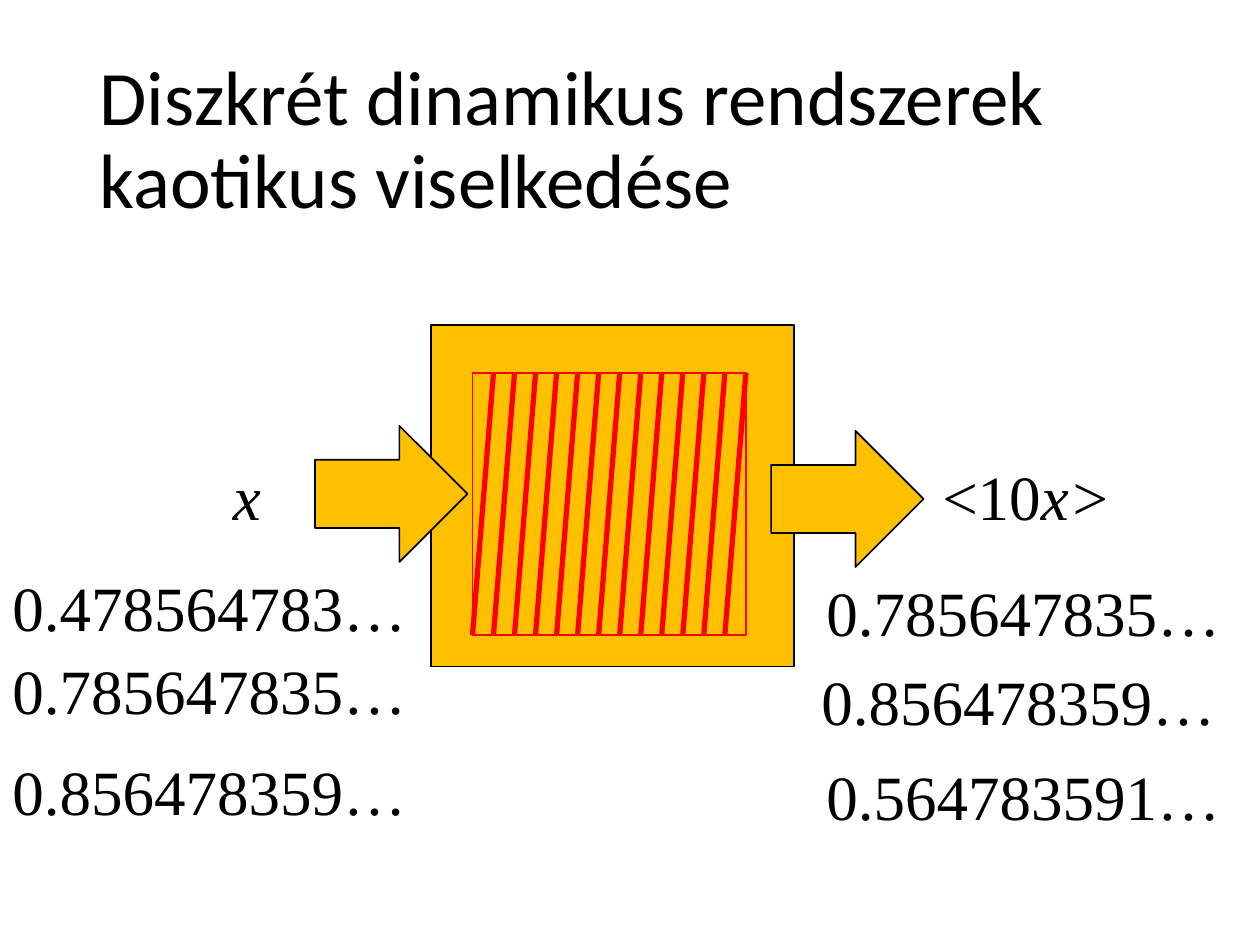
from dataclasses import dataclass

from lxml import etree
from pptx import Presentation
from pptx.dml.color import RGBColor
from pptx.enum.shapes import MSO_CONNECTOR, MSO_SHAPE
from pptx.enum.text import MSO_ANCHOR, MSO_AUTO_SIZE, PP_ALIGN
from pptx.oxml.ns import qn
from pptx.util import Inches, Pt

RECTANGLE = MSO_SHAPE.RECTANGLE
RIGHT_ARROW = MSO_SHAPE.RIGHT_ARROW
STRAIGHT = MSO_CONNECTOR.STRAIGHT
MIDDLE = MSO_ANCHOR.MIDDLE
LEFT = PP_ALIGN.LEFT
FIXED_SIZE = MSO_AUTO_SIZE.NONE
GROW_SHAPE = MSO_AUTO_SIZE.SHAPE_TO_FIT_TEXT


@dataclass(frozen=True)
class Theme:
    ink: RGBColor = RGBColor(0x00, 0x00, 0x00)
    machine: RGBColor = RGBColor(0xFF, 0xC0, 0x00)
    graph: RGBColor = RGBColor(0xFF, 0x00, 0x00)
    title_font: str = "Calibri"
    body_font: str = "Times New Roman"
    title_size: int = 44
    body_size: int = 36
    thin: float = 1
    thick: float = 3


@dataclass(frozen=True)
class Box:
    left: float
    top: float
    width: float
    height: float

    def lengths(self) -> list:
        return [Inches(value) for value in (self.left, self.top, self.width, self.height)]


@dataclass(frozen=True)
class Block:
    kind: int
    box: Box
    line: RGBColor
    fill: RGBColor | None = None


@dataclass(frozen=True)
class Label:
    left: float
    top: float
    width: float
    upright: str = ""
    italic: str = ""


THEME = Theme()
TITLE_BOX = Box(0.69, 0.4, 8.62, 1.45)
GRAPH_BOX = Box(3.75, 2.96, 2.17, 2.08)
BRANCH_COUNT = 13
LABEL_HEIGHT = 0.71
NUMBER_WIDTH = 3.42

BLOCKS = [
    Block(RECTANGLE, Box(3.42, 2.58, 2.88, 2.71), THEME.ink, THEME.machine),
    Block(RIGHT_ARROW, Box(2.5, 3.38, 1.21, 1.08), THEME.ink, THEME.machine),
    Block(RIGHT_ARROW, Box(6.12, 3.42, 1.21, 1.08), THEME.ink, THEME.machine),
    Block(RECTANGLE, GRAPH_BOX, THEME.graph),
]

LABELS = [
    Label(1.75, 3.58, 0.5, italic="x"),
    Label(7.38, 3.58, 1.58, upright="<10", italic="x>"),
    Label(0, 4.46, NUMBER_WIDTH, "0.478564783…"),
    Label(6.46, 4.5, NUMBER_WIDTH, "0.785647835…"),
    Label(0, 5.12, NUMBER_WIDTH, "0.785647835…"),
    Label(6.42, 5.21, NUMBER_WIDTH, "0.856478359…"),
    Label(0, 5.92, NUMBER_WIDTH, "0.856478359…"),
    Label(6.46, 5.96, NUMBER_WIDTH, "0.564783591…"),
]


def apply_format(target, values: dict) -> None:
    for name, value in values.items():
        setattr(target, name, value)


def format_font(font, name: str, size: int, italic: bool = False) -> None:
    apply_format(font, {"name": name, "size": Pt(size), "italic": italic})
    font.color.rgb = THEME.ink


def format_line(line, color: RGBColor, width: float) -> None:
    line.color.rgb = color
    line.width = Pt(width)


def draw_title(slide, text: str) -> None:
    title = slide.shapes.title
    apply_format(title, dict(zip(("left", "top", "width", "height"), TITLE_BOX.lengths())))
    frame = title.text_frame
    frame.text = text
    apply_format(
        frame,
        {"word_wrap": True, "auto_size": FIXED_SIZE, "vertical_anchor": MIDDLE},
    )
    paragraph = frame.paragraphs[0]
    apply_format(paragraph, {"alignment": LEFT, "line_spacing": 0.9})
    format_font(paragraph.runs[0].font, THEME.title_font, THEME.title_size)


def draw_block(slide, block: Block) -> None:
    shape = slide.shapes.add_shape(block.kind, *block.box.lengths())
    shape.shadow.inherit = False
    if block.fill is None:
        shape.fill.background()
    else:
        shape.fill.solid()
        shape.fill.fore_color.rgb = block.fill
    format_line(shape.line, block.line, THEME.thin)


def draw_label(slide, label: Label) -> None:
    box = Box(label.left, label.top, label.width, LABEL_HEIGHT)
    frame = slide.shapes.add_textbox(*box.lengths()).text_frame
    apply_format(frame, {"word_wrap": True, "auto_size": GROW_SHAPE})
    paragraph = frame.paragraphs[0]
    for text, italic in ((label.upright, False), (label.italic, True)):
        if text:
            run = paragraph.add_run()
            run.text = text
            format_font(run.font, THEME.body_font, THEME.body_size, italic)


def draw_branches(slide, box: Box, count: int) -> None:
    step = box.width / count
    for index in range(count):
        start = box.left + index * step
        connector = slide.shapes.add_connector(
            STRAIGHT,
            Inches(start),
            Inches(box.top + box.height),
            Inches(start + step),
            Inches(box.top),
        )
        format_line(connector.line, THEME.graph, THEME.thick)
        properties = connector.element.find(qn("p:spPr"))
        etree.SubElement(properties, qn("a:effectLst"))


def main() -> None:
    presentation = Presentation()
    apply_format(presentation, {"slide_width": Inches(10), "slide_height": Inches(7.5)})
    slide = presentation.slides.add_slide(presentation.slide_layouts[5])
    draw_title(slide, "Diszkrét dinamikus rendszerek kaotikus viselkedése")
    for block in BLOCKS:
        draw_block(slide, block)
    for label in LABELS:
        draw_label(slide, label)
    draw_branches(slide, GRAPH_BOX, BRANCH_COUNT)
    presentation.save("out.pptx")


if __name__ == "__main__":
    main()
